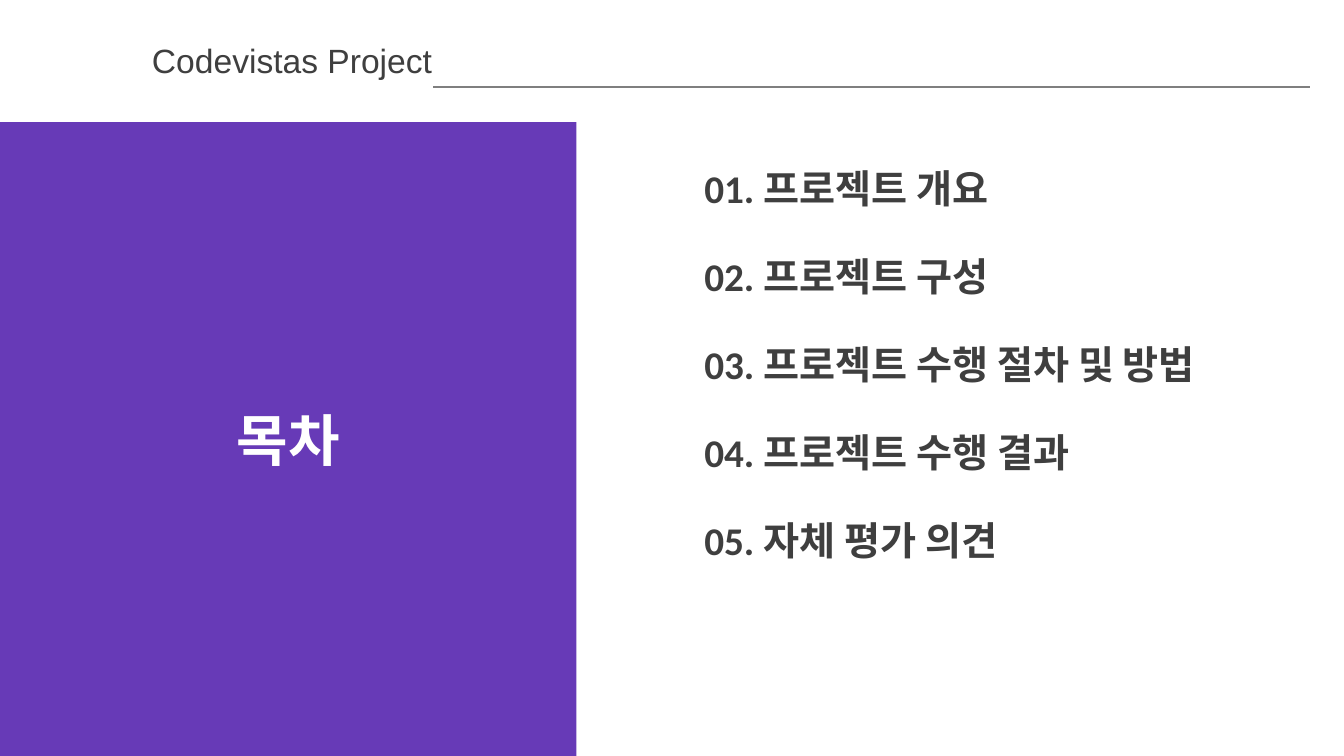
from lxml.etree import SubElement
from pptx import Presentation
from pptx.dml.color import RGBColor
from pptx.enum.shapes import MSO_CONNECTOR as Connector, MSO_SHAPE as Shape
from pptx.enum.text import MSO_ANCHOR as Anchor, MSO_AUTO_SIZE as AutoSize, PP_ALIGN as Align
from pptx.oxml.ns import qn
from pptx.util import Cm, Pt


def color(value):
    return RGBColor.from_string(value)


class AgendaSlide:
    purple = "673AB7"
    white = "FFFFFF"
    dark = "3F3F3F"
    gray = "7F7F7F"

    def __init__(self, presentation):
        self.slide = presentation.slides.add_slide(presentation.slide_layouts[6])

    def fill_text(self, shape, text, size, font, text_color, bold=False,
                  align=Align.LEFT, anchor=Anchor.TOP, inset=0.13):
        frame = shape.text_frame
        frame.word_wrap = True
        frame.vertical_anchor = anchor
        frame.margin_left = frame.margin_right = Cm(0.25)
        frame.margin_top = frame.margin_bottom = Cm(inset)
        paragraph = frame.paragraphs[0]
        paragraph.alignment = align
        run = paragraph.add_run()
        run.text = text
        run.font.size = Pt(size)
        run.font.name = font
        run.font.bold = bold
        run.font.color.rgb = color(text_color)

    def text(self, left, top, width, height, text, size, font, **style):
        box = self.slide.shapes.add_textbox(Cm(left), Cm(top), Cm(width), Cm(height))
        self.fill_text(box, text, size, font, self.dark, **style)
        box.text_frame.auto_size = AutoSize.SHAPE_TO_FIT_TEXT

    def panel(self, left, top, width, height, text):
        shape = self.slide.shapes.add_shape(
            Shape.RECTANGLE, Cm(left), Cm(top), Cm(width), Cm(height))
        shape.shadow.inherit = False
        shape.fill.solid()
        shape.fill.fore_color.rgb = color(self.purple)
        shape.line.fill.background()
        self.fill_text(shape, text, 40, "Arial", self.white, bold=True,
                       align=Align.CENTER, anchor=Anchor.MIDDLE)

    def rule(self, left, right, top):
        connector = self.slide.shapes.add_connector(
            Connector.STRAIGHT, Cm(left), Cm(top), Cm(right), Cm(top))
        connector.line.color.rgb = color(self.gray)
        connector.line.width = Pt(1)
        SubElement(connector._element.spPr, qn("a:effectLst"))


def main():
    presentation = Presentation()
    presentation.slide_width = Cm(33.87)
    presentation.slide_height = Cm(19.05)
    agenda = AgendaSlide(presentation)

    topics = [
        ("프로젝트 개요", 10.2),
        ("프로젝트 구성", 13.8),
        ("프로젝트 수행 절차 및 방법", 14.7),
        ("프로젝트 수행 결과", 12.45),
        ("자체 평가 의견", 8.9),
    ]
    for index, (topic, width) in enumerate(topics):
        agenda.text(17.5, 4.14 + 2.22 * index, width, 1.2,
                    f"{index + 1:02}. {topic}", 28, "Calibri", bold=True, inset=0)

    agenda.panel(0, 3.08, 14.53, 15.97, "목차")
    agenda.rule(10.92, 33.02, 2.19)
    agenda.text(3.58, 0.87, 8.4, 1.28, "Codevistas Project", 24, "Arial")

    presentation.save("out.pptx")


if __name__ == "__main__":
    main()
